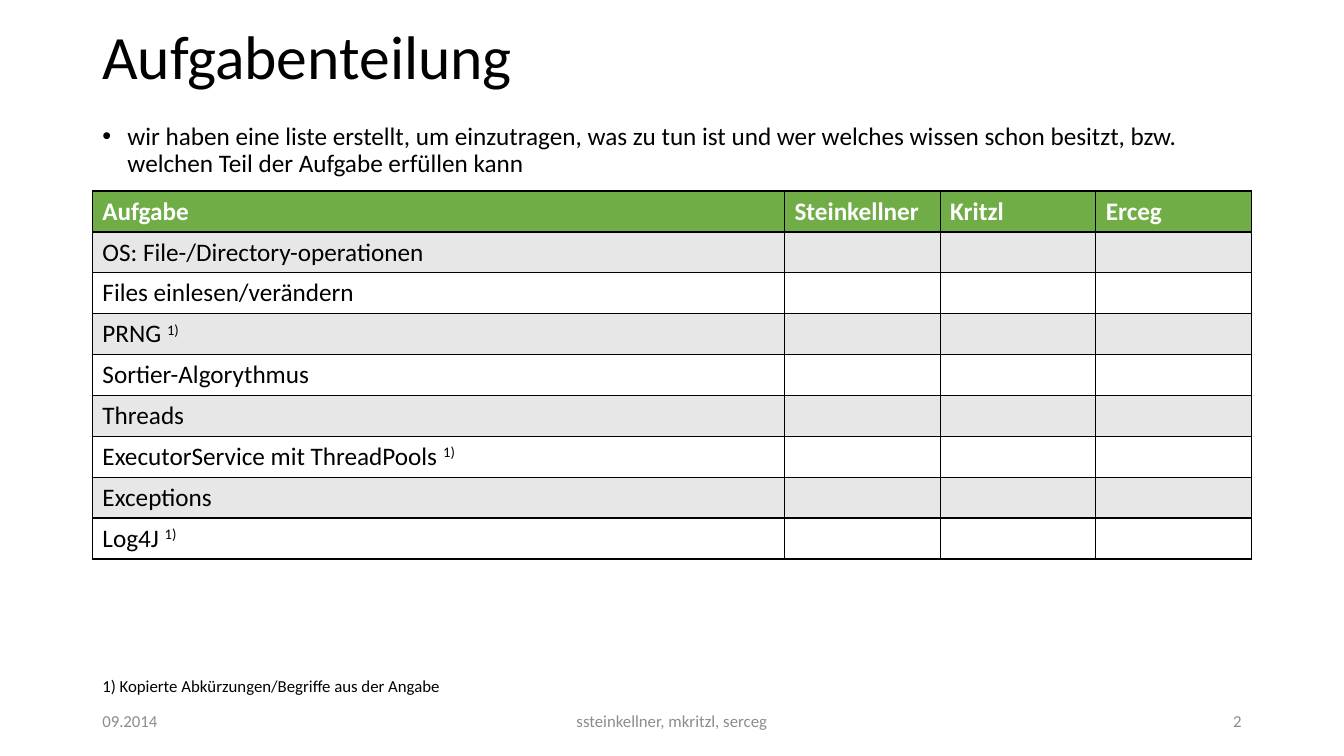
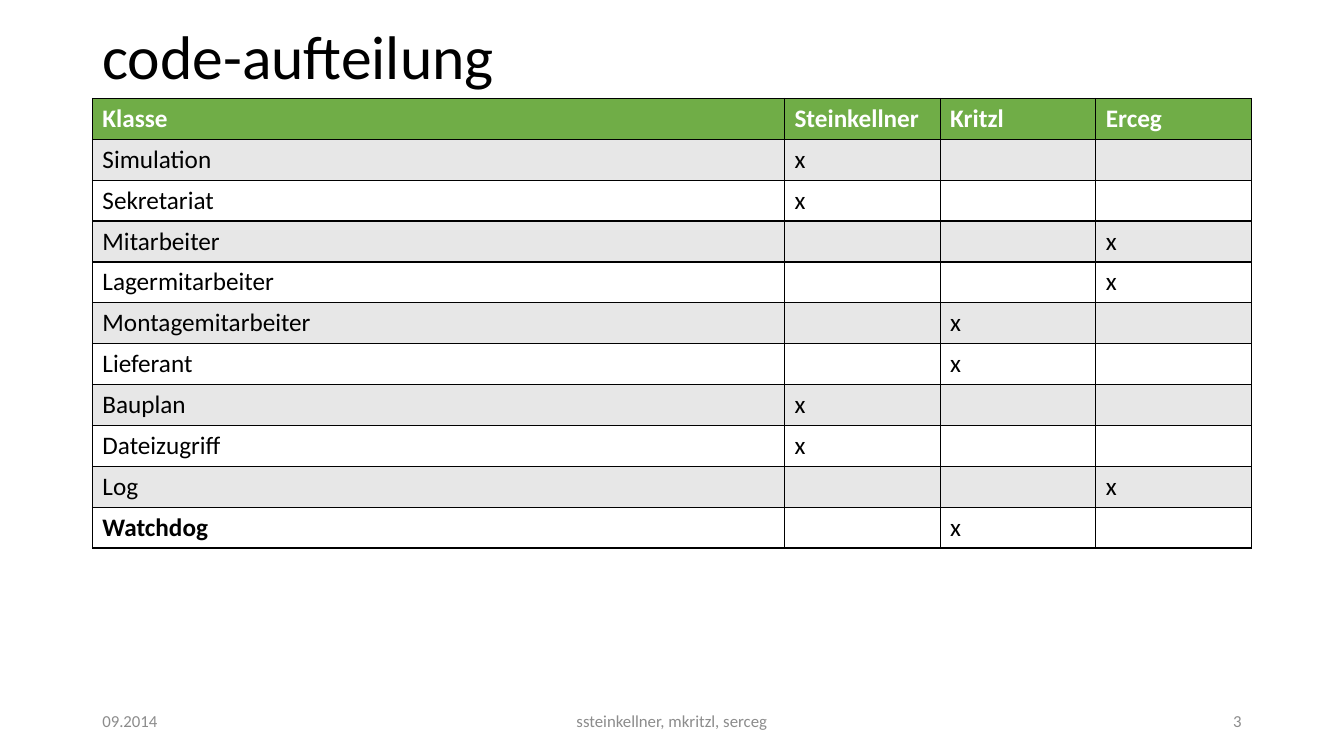
from dataclasses import dataclass

from lxml import etree
from pptx import Presentation
from pptx.dml.color import RGBColor
from pptx.enum.text import MSO_ANCHOR, PP_ALIGN
from pptx.oxml.ns import qn
from pptx.util import Pt

TOP, MIDDLE = MSO_ANCHOR.TOP, MSO_ANCHOR.MIDDLE
LEFT, CENTER, RIGHT = PP_ALIGN.LEFT, PP_ALIGN.CENTER, PP_ALIGN.RIGHT


@dataclass(frozen=True)
class Theme:
    font: str = "Calibri"
    ink: str = "000000"
    muted: str = "8C8C8C"
    paper: str = "FFFFFF"
    accent: str = "70AD47"
    band: str = "E7E7E7"
    title: int = 44
    body: int = 18
    small: int = 12


T = Theme()
SLIDE_W, SLIDE_H = 960, 540
MARGIN = 66
CONTENT_W = SLIDE_W - 2 * MARGIN
TITLE_BOX = (MARGIN, 0, CONTENT_W, 85)
BODY_BOX = (MARGIN, 85, CONTENT_W, 415)
FOOTER_BOX = (MARGIN, 500.5, CONTENT_W, 28.75)
NOTE_BOX = (MARGIN, 478.8, 258.5, 21.8)
ROW_H = 29.2
PERSON_W = 111.2
PEOPLE = ("Steinkellner", "Kritzl", "Erceg")
DATE = "09.2014"
AUTHORS = "ssteinkellner, mkritzl, serceg"
NOTE_MARK = "1)"

TASKS = (
    ("OS: File-/Directory-operationen", False),
    ("Files einlesen/verändern", False),
    ("PRNG ", True),
    ("Sortier-Algorythmus", False),
    ("Threads", False),
    ("ExecutorService mit ThreadPools ", True),
    ("Exceptions", False),
    ("Log4J ", True),
)
CLASSES = (
    ("Simulation", "Steinkellner"),
    ("Sekretariat", "Steinkellner"),
    ("Mitarbeiter", "Erceg"),
    ("Lagermitarbeiter", "Erceg"),
    ("Montagemitarbeiter", "Kritzl"),
    ("Lieferant", "Kritzl"),
    ("Bauplan", "Steinkellner"),
    ("Dateizugriff", "Steinkellner"),
    ("Log", "Erceg"),
    ("Watchdog", "Kritzl"),
)


def add_run(p, text, size, color=T.ink, bold=False, raised=False):
    r = p.add_run()
    r.text = text
    r.font.name = T.font
    r.font.size = Pt(size)
    r.font.bold = bold
    r.font.color.rgb = RGBColor.from_string(color)
    if raised:
        r._r.get_or_add_rPr().set("baseline", "30000")


def add_text(s, box, text, size, color=T.ink, align=LEFT, anchor=TOP, wrap=True):
    tf = s.shapes.add_textbox(*map(Pt, box)).text_frame
    tf.word_wrap = wrap
    tf.vertical_anchor = anchor
    p = tf.paragraphs[0]
    p.alignment = align
    add_run(p, text, size, color)
    return p


def add_title(s, box, text):
    add_text(s, box, text, T.title, anchor=MIDDLE).line_spacing = 0.9


def add_bullet(s, box, text):
    p = add_text(s, box, text, T.body)
    p.line_spacing = 0.9
    p.space_before = Pt(10)
    pPr = p._p.get_or_add_pPr()
    pPr.set("marL", str(Pt(18)))
    pPr.set("indent", str(-Pt(18)))
    etree.SubElement(pPr, qn("a:buFont"), typeface="Arial")
    etree.SubElement(pPr, qn("a:buChar"), char="•")


def add_footer(s, box, number):
    x, y, w, h = box
    side, mid = 216, 324
    parts = (
        (x, side, DATE, LEFT),
        (x + (w - mid) / 2, mid, AUTHORS, CENTER),
        (x + w - side, side, str(number), RIGHT),
    )
    for left, width, text, align in parts:
        add_text(s, (left, y, width, h), text, T.small, T.muted, align, MIDDLE)


def style_cell(cell, fill):
    tcPr = cell._tc.get_or_add_tcPr()
    for side in ("lnL", "lnR", "lnT", "lnB"):
        ln = etree.SubElement(tcPr, qn("a:" + side), w=str(Pt(1)))
        solid = etree.SubElement(ln, qn("a:solidFill"))
        etree.SubElement(solid, qn("a:srgbClr"), val=T.ink)
    cell.fill.solid()
    cell.fill.fore_color.rgb = RGBColor.from_string(fill)


def add_matrix(s, x, y, w, heading, rows):
    count = len(rows) + 1
    frame = s.shapes.add_table(
        count, len(PEOPLE) + 1, Pt(x), Pt(y), Pt(w), Pt(count * ROW_H))
    table = frame.table
    widths = [w - len(PEOPLE) * PERSON_W] + [PERSON_W] * len(PEOPLE)
    for col, width in zip(table.columns, widths):
        col.width = Pt(width)
    head = [[(name, {"color": T.paper, "bold": True})] for name in (heading, *PEOPLE)]
    for i, cells in enumerate([head, *rows]):
        table.rows[i].height = Pt(ROW_H)
        fill = T.accent if i == 0 else T.band if i % 2 else T.paper
        for j, runs in enumerate(cells):
            cell = table.cell(i, j)
            style_cell(cell, fill)
            for text, look in runs:
                add_run(cell.text_frame.paragraphs[0], text, T.body, **look)


def task_row(name, noted):
    label = [(name, {})]
    if noted:
        label.append((NOTE_MARK, {"raised": True}))
    return [label] + [[] for _ in PEOPLE]


def class_row(name, owner):
    label = [(name, {"bold": name == "Watchdog"})]
    return [label] + [[("x", {})] if person == owner else [] for person in PEOPLE]


def new_slide(prs, title, number):
    s = prs.slides.add_slide(prs.slide_layouts[6])
    add_title(s, TITLE_BOX, title)
    add_footer(s, FOOTER_BOX, number)
    return s


def task_slide(prs):
    s = new_slide(prs, "Aufgabenteilung", 2)
    add_bullet(s, BODY_BOX, "wir haben eine liste erstellt, um einzutragen, was zu tun ist "
               "und wer welches wissen schon besitzt, bzw. welchen Teil der Aufgabe "
               "erfüllen kann")
    add_matrix(s, MARGIN, 136.5, CONTENT_W, "Aufgabe", [task_row(*t) for t in TASKS])
    add_text(s, NOTE_BOX, NOTE_MARK + " Kopierte Abkürzungen/Begriffe aus der Angabe",
             T.small, wrap=False)


def class_slide(prs):
    s = new_slide(prs, "code-aufteilung", 3)
    add_matrix(s, MARGIN, 70.3, CONTENT_W, "Klasse", [class_row(*c) for c in CLASSES])


def main():
    prs = Presentation()
    prs.slide_width, prs.slide_height = Pt(SLIDE_W), Pt(SLIDE_H)
    task_slide(prs)
    class_slide(prs)
    prs.save("out.pptx")


if __name__ == "__main__":
    main()
